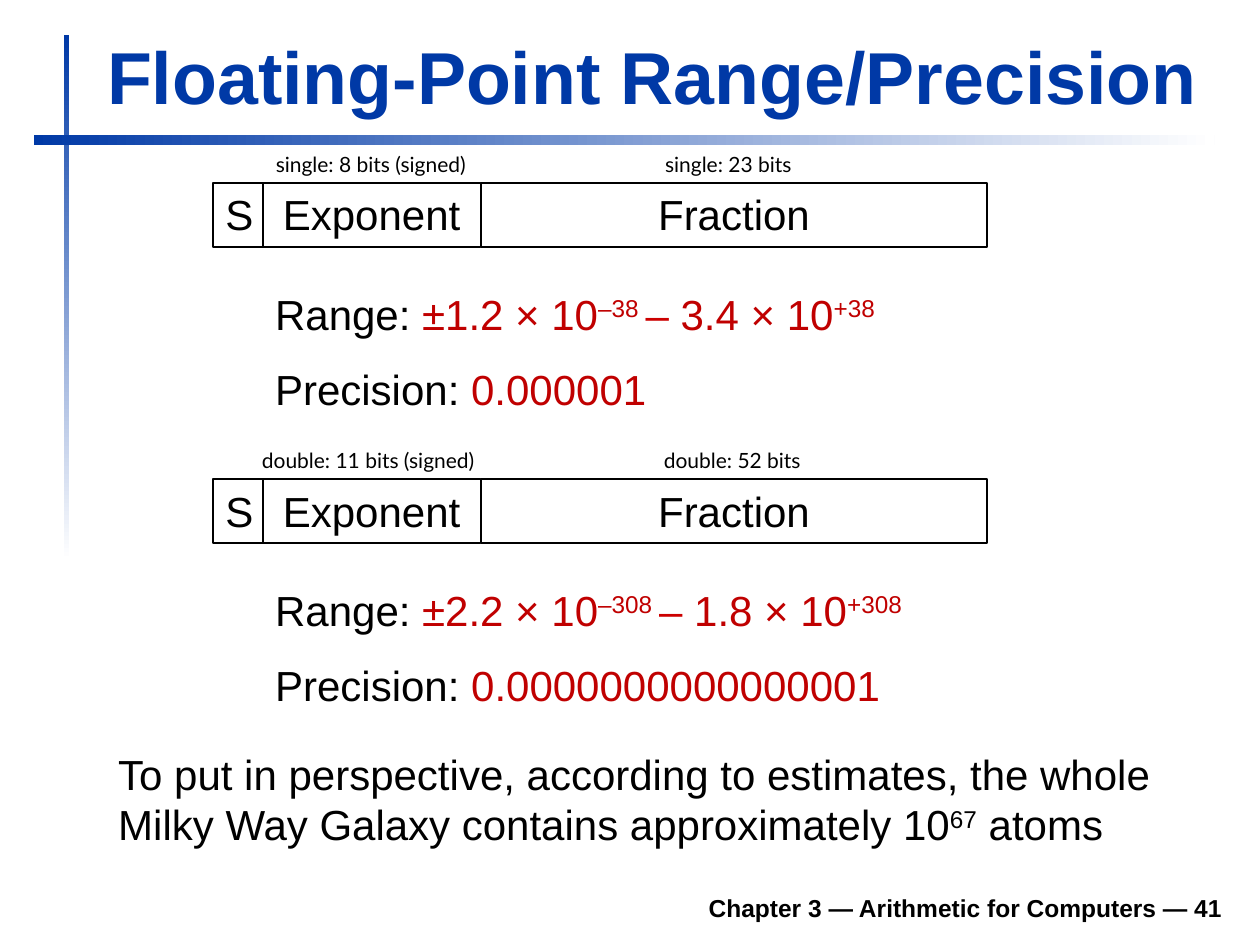
"""Build the slide comparing single and double floating-point formats."""
import pptx
import pptx.dml.color
import pptx.enum.shapes
import pptx.enum.text
import pptx.util

ALIGN = pptx.enum.text.PP_ALIGN
ANCHOR = pptx.enum.text.MSO_ANCHOR
FIT = pptx.enum.text.MSO_AUTO_SIZE

THEME = {
    "blue": "0039A6", "white": "FFFFFF", "black": "000000",
    "red": "C00000", "dash": "CC0000",
    "title": {"name": "Arial", "size": 42, "bold": True},
    "text": {"name": "Arial", "size": 24, "bold": False},
    "label": {"name": "Lato", "size": 12, "bold": False},
    "footer": {"name": "Arial", "size": 14, "bold": True},
}
COLUMNS, ROWS = 100, 75
TITLE = "Floating-Point Range/Precision"
FOOTER = "Chapter 3 — Arithmetic for Computers — 41"
RULES = [((5.1, 2.8, 0.4, 41.7), 270), ((2.7, 10.7, 93.7, 0.8), 0)]
FIELDS = [("S", 3.95), ("Exponent", 17.3), ("Fraction", 40.2)]
FIELDS_LEFT, FIELD_HEIGHT = 16.9, 5.1
FORMATS = [
    {"top": 11.5,
     "labels": [("single: 8 bits (signed)", 20.9, 20.1), ("single: 23 bits", 51.8, 26.8)],
     "range": ("±1.2 × 10", "–38 ", " 3.4 × 10", "+38"), "range_width": 52.4,
     "precision": "0.000001", "precision_width": 32.7},
    {"top": 35,
     "labels": [("double: 11 bits (signed)", 19.8, 20.1), ("double: 52 bits", 51.7, 26.8)],
     "range": ("±2.2 × 10", "–308 ", " 1.8 × 10", "+308"), "range_width": 54.9,
     "precision": "0.0000000000000001", "precision_width": 51.5},
]
LABEL_HEIGHT, RANGE_DROP, PRECISION_DROP = 3, 10.9, 16.85
VALUES_LEFT = 20.85
PERSPECTIVE = [
    ("To put in perspective, according to estimates, the whole "
     "Milky Way Galaxy contains approximately 10", "black", False),
    ("67", "black", True),
    (" atoms", "black", False),
]

deck = pptx.Presentation()
deck.slide_width, deck.slide_height = pptx.util.Inches(10), pptx.util.Inches(7.5)
page = deck.slides.add_slide(deck.slide_layouts[5])


def color(name):
    return pptx.dml.color.RGBColor.from_string(THEME[name])


def place(left, top, width, height):
    across, down = deck.slide_width / COLUMNS, deck.slide_height / ROWS
    return [round(v) for v in (left * across, top * down, width * across, height * down)]


def write(box, spans, style, align=ALIGN.LEFT, **frame_values):
    frame = box.text_frame
    defaults = {"word_wrap": True, "vertical_anchor": ANCHOR.TOP,
                "auto_size": FIT.SHAPE_TO_FIT_TEXT}
    for key, value in {**defaults, **frame_values}.items():
        setattr(frame, key, value)
    para = frame.paragraphs[0]
    para.alignment = align
    for text, tint, raised in spans:
        span = para.add_run()
        span.text = text
        values = {**THEME[style], "size": pptx.util.Pt(THEME[style]["size"])}
        for key, value in values.items():
            setattr(span.font, key, value)
        span.font.color.rgb = color(tint)
        if raised:
            span.font._element.set("baseline", "30000")


def add_text(area, spans, style, **options):
    write(page.shapes.add_textbox(*place(*area)), spans, style, **options)


def add_rectangle(area):
    box = page.shapes.add_shape(pptx.enum.shapes.MSO_SHAPE.RECTANGLE, *place(*area))
    box.shadow.inherit = False
    return box


def add_rule(area, angle):
    rule = add_rectangle(area)
    rule.line.fill.background()
    rule.fill.gradient()
    rule.fill.gradient_angle = angle
    for stop, tint, position in zip(rule.fill.gradient_stops, ("blue", "white"), (0, 1)):
        stop.color.rgb = color(tint)
        stop.position = position


def add_field(area, name):
    field = add_rectangle(area)
    field.fill.background()
    field.line.color.rgb = color("black")
    field.line.width = pptx.util.Pt(1)
    write(field, [(name, "black", False)], "text", align=ALIGN.CENTER)


def add_format(item):
    top = item["top"]
    left = FIELDS_LEFT
    for name, width in FIELDS:
        add_field((left, top + LABEL_HEIGHT, width, FIELD_HEIGHT), name)
        left += width
    for text, label_left, width in item["labels"]:
        add_text((label_left, top, width, LABEL_HEIGHT), [(text, "black", False)], "label")
    low, low_power, high, high_power = item["range"]
    limits = [("Range: ", "black", False), (low, "red", False), (low_power, "red", True),
              ("–", "dash", False), (high, "red", False), (high_power, "red", True)]
    precision = [("Precision: ", "black", False), (item["precision"], "red", False)]
    for spans, drop, width in ((limits, RANGE_DROP, item["range_width"]),
                               (precision, PRECISION_DROP, item["precision_width"])):
        add_text((VALUES_LEFT, top + drop, width, FIELD_HEIGHT), spans, "text",
                 word_wrap=False)


for rule_area, rule_angle in RULES:
    add_rule(rule_area, rule_angle)
title = page.shapes.title
title.left, title.top, title.width, title.height = place(7.5, 1.9, 90.3, 8.1)
write(title, [(TITLE, "blue", False)], "title", vertical_anchor=ANCHOR.BOTTOM)
for number_format in FORMATS:
    add_format(number_format)
add_text((8.4, 58.9, 85, 9.1), PERSPECTIVE, "text")
add_text((18.5, 69.8, 79.5, 3.9), [(FOOTER, "black", False)], "footer",
         align=ALIGN.RIGHT, vertical_anchor=ANCHOR.BOTTOM, auto_size=FIT.NONE)
deck.save("out.pptx")
